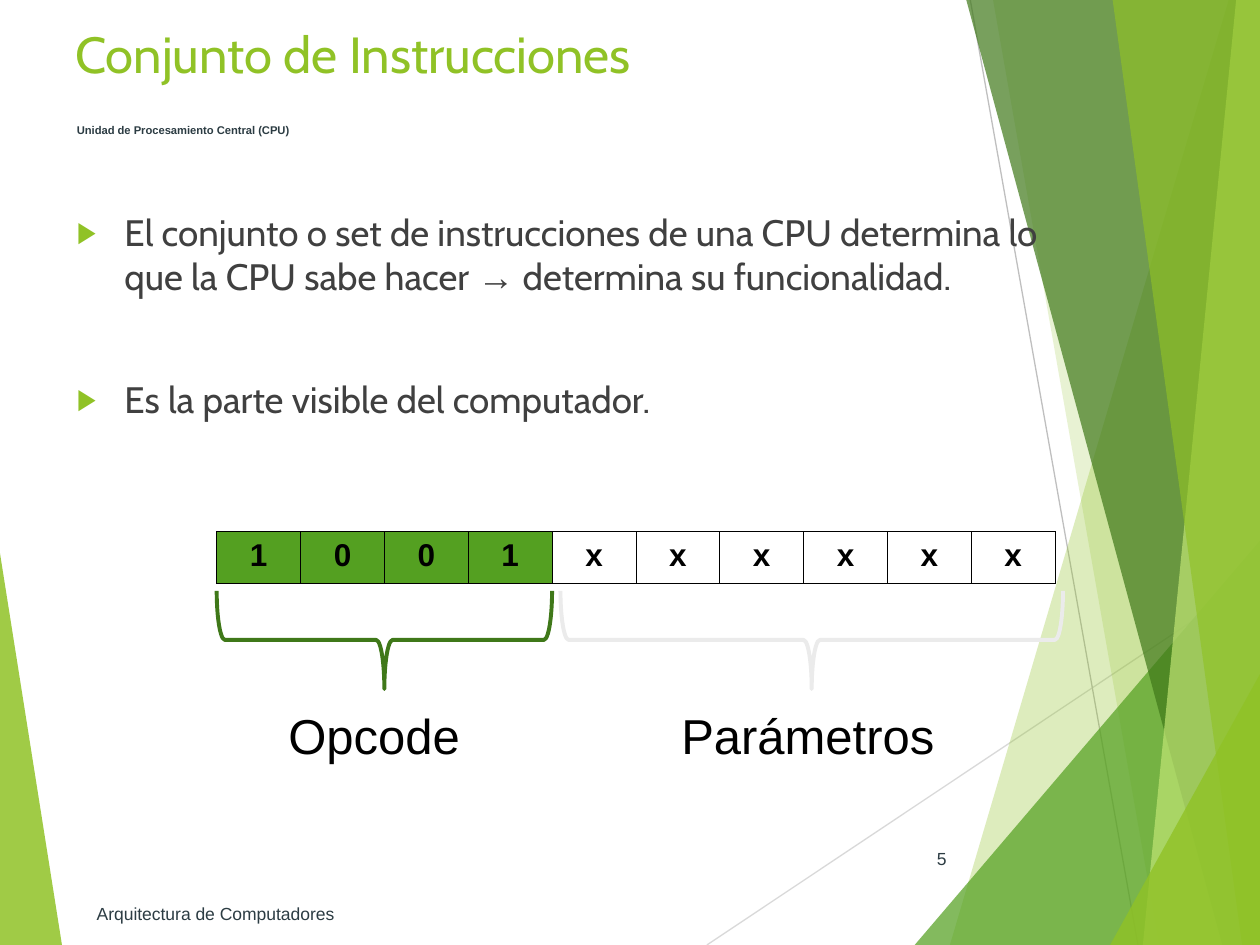
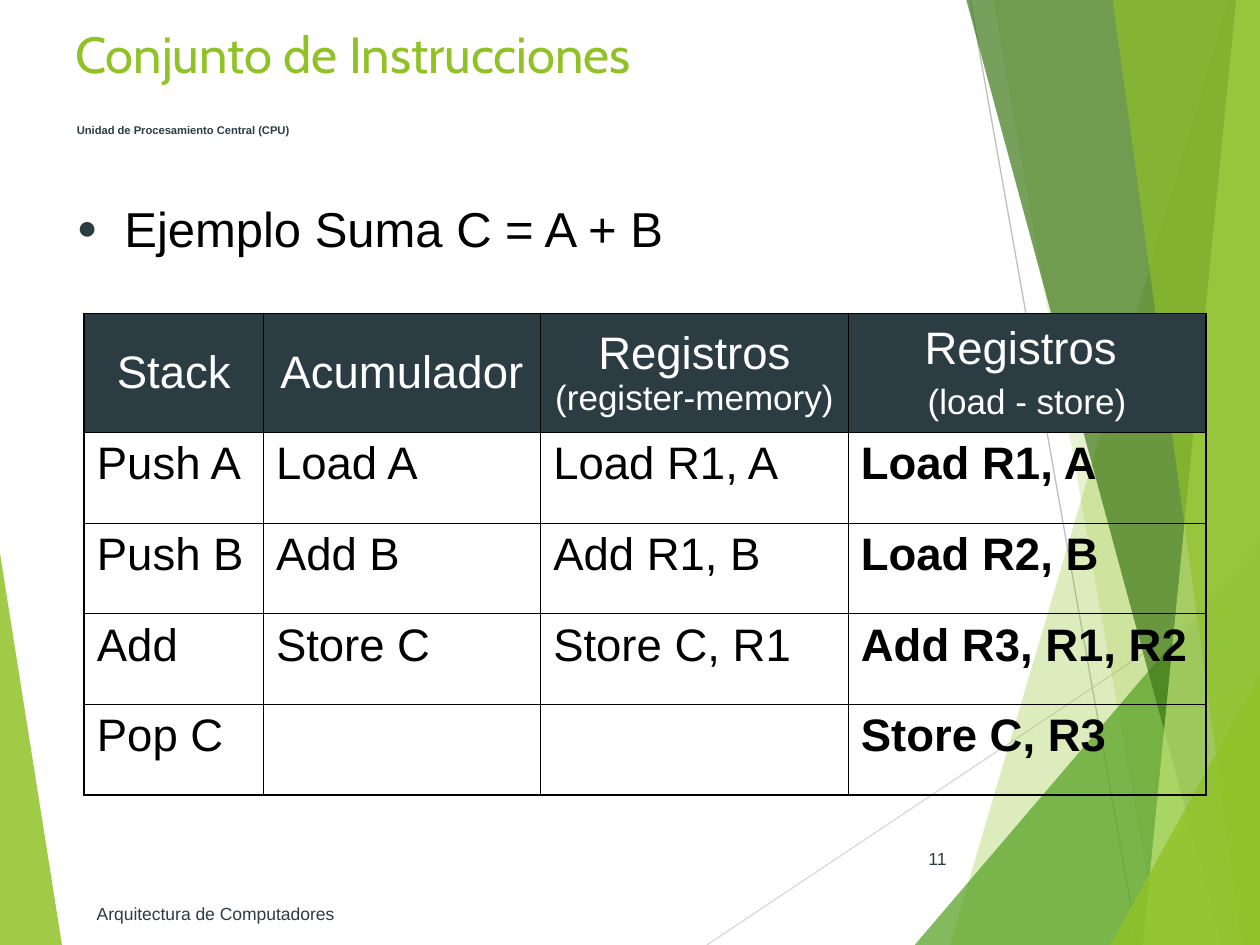
from dataclasses import dataclass
from typing import Optional

from lxml.etree import SubElement
from pptx import Presentation
from pptx.dml.color import RGBColor
from pptx.enum.shapes import MSO_CONNECTOR, MSO_SHAPE
from pptx.enum.text import MSO_ANCHOR as Anchor, PP_ALIGN as Align
from pptx.oxml.ns import qn
from pptx.util import Cm, Pt

LIME = RGBColor(0x90, 0xC2, 0x26)
PALE_LIME = RGBColor(0xC0, 0xE4, 0x74)
GREEN = RGBColor(0x54, 0xA0, 0x21)
DARK_GREEN = RGBColor(0x3F, 0x78, 0x19)
SLATE = RGBColor(0x2C, 0x3C, 0x43)
CHARCOAL = RGBColor(0x40, 0x40, 0x40)
BLACK = RGBColor(0, 0, 0)
WHITE = RGBColor(0xFF, 0xFF, 0xFF)
SMOKE = RGBColor(0xEB, 0xEB, 0xEB)
SILVER = RGBColor(0xD9, 0xD9, 0xD9)
GREY = RGBColor(0xBF, 0xBF, 0xBF)

WIDTH, HEIGHT = 25.4, 19.05
THIN, THICK = 0.45, 1.08
INDENT = 0.96


@dataclass(frozen=True)
class Box:
    left: float
    top: float
    width: float
    height: float

    def lengths(self) -> tuple:
        return Cm(self.left), Cm(self.top), Cm(self.width), Cm(self.height)


@dataclass(frozen=True)
class Facet:
    points: tuple
    color: RGBColor
    opacity: int


@dataclass(frozen=True)
class Ray:
    start: tuple
    end: tuple
    color: RGBColor


@dataclass(frozen=True)
class Bullet:
    char: str
    color: RGBColor
    percent: int


@dataclass(frozen=True)
class Style:
    size: float
    color: RGBColor = BLACK
    font: str = "Arial"
    bold: bool = False
    align: Align = Align.LEFT
    line_spacing: Optional[float] = None
    bullet: Optional[Bullet] = None


@dataclass(frozen=True)
class Run:
    text: str
    font: Optional[str] = None
    size: Optional[float] = None


def band(top_x: float, bottom_x: float) -> tuple:
    """Corners of a band that reaches from a slanted edge to the right side."""
    return (top_x, 0), (bottom_x, HEIGHT), (WIDTH, HEIGHT), (WIDTH, 0)


def corner(bottom_x: float, right_y: float) -> tuple:
    """Corners of a triangle in the bottom right of the slide."""
    return (bottom_x, HEIGHT), (WIDTH, right_y), (WIDTH, HEIGHT)


BACKDROP = (
    Facet(((0, 11.15), (1.25, HEIGHT), (0, HEIGHT)), LIME, 85),
    Ray((14.25, HEIGHT), (WIDTH, 11.61), SILVER),
    Ray((19.56, 0), (22.94, HEIGHT), GREY),
    Facet(band(24.77, 19.15), LIME, 30),
    Facet(band(20.02, 23.37), LIME, 20),
    Facet(corner(18.44, 10.9), GREEN, 72),
    Facet(band(19.48, 24.64), DARK_GREEN, 70),
    Facet(band(24.92, 23.04), PALE_LIME, 70),
    Facet(band(22.43, 25.04), LIME, 65),
    Facet(corner(22.38, 13.59), LIME, 80),
)

TITLE = Style(29, LIME, "Cabin")
SUBTITLE = Style(6.4, SLATE, bold=True, line_spacing=0.8)
FOOTER = Style(10, SLATE)
PAGE_NUMBER = Style(10, SLATE, align=Align.RIGHT)
POINT = Style(21, CHARCOAL, "Cabin", bullet=Bullet("▶", LIME, 80))
EXAMPLE = Style(28, line_spacing=0.8, bullet=Bullet("●", SLATE, 70))
BRACE_LABEL = Style(28, align=Align.CENTER)
BIT = Style(18, bold=True, align=Align.CENTER)
HEADING = Style(26, WHITE, align=Align.CENTER)
INSTRUCTION = Style(26)
KEY_INSTRUCTION = Style(26, bold=True)


def draw_facet(slide, facet: Facet) -> None:
    start, *others = [(Cm(x), Cm(y)) for x, y in facet.points]
    builder = slide.shapes.build_freeform(*start)
    builder.add_line_segments(others)
    shape = builder.convert_to_shape()
    shape.shadow.inherit = False
    shape.line.fill.background()
    shape.fill.solid()
    shape.fill.fore_color.rgb = facet.color
    color = shape.fill._xPr.find(f"{qn('a:solidFill')}/{qn('a:srgbClr')}")
    SubElement(color, qn("a:alpha"), val=str(facet.opacity * 1000))


def draw_ray(slide, ray: Ray) -> None:
    ends = [Cm(value) for value in ray.start + ray.end]
    connector = slide.shapes.add_connector(MSO_CONNECTOR.STRAIGHT, *ends)
    connector.line.color.rgb = ray.color
    connector.line.width = Pt(0.75)
    SubElement(connector._element.spPr, qn("a:effectLst"))


def add_bullet(paragraph, bullet: Bullet) -> None:
    properties = paragraph._p.get_or_add_pPr()
    properties.set("marL", str(Cm(INDENT)))
    properties.set("indent", str(-Cm(INDENT)))
    color = SubElement(properties, qn("a:buClr"))
    SubElement(color, qn("a:srgbClr"), val=str(bullet.color))
    SubElement(properties, qn("a:buSzPct"), val=str(bullet.percent * 1000))
    SubElement(properties, qn("a:buFont"), typeface="Arial")
    SubElement(properties, qn("a:buChar"), char=bullet.char)


def write(frame, paragraphs: tuple, style: Style, gap: float = 0) -> None:
    """Fill a text frame; each paragraph is a string or a tuple of runs."""
    for index, content in enumerate(paragraphs):
        paragraph = frame.add_paragraph() if index else frame.paragraphs[0]
        if style.bullet:
            add_bullet(paragraph, style.bullet)
        paragraph.alignment = style.align
        if style.line_spacing:
            paragraph.line_spacing = style.line_spacing
        if index:
            paragraph.space_before = Pt(gap)
        font = paragraph.font
        font.name, font.size, font.bold = style.font, Pt(style.size), style.bold
        font.color.rgb = style.color
        for part in (Run(content),) if isinstance(content, str) else content:
            run = paragraph.add_run()
            run.text = part.text
            if part.font:
                run.font.name = part.font
            if part.size:
                run.font.size = Pt(part.size)


def add_text(slide, box: Box, paragraphs: tuple, style: Style,
             anchor: Anchor = Anchor.TOP, gap: float = 0) -> None:
    frame = slide.shapes.add_textbox(*box.lengths()).text_frame
    frame.word_wrap = True
    frame.vertical_anchor = anchor
    write(frame, paragraphs, style, gap)


def add_brace(slide, box: Box, color: RGBColor) -> None:
    """Draw a brace that points down and fills the box once rotated."""
    left = box.left + (box.width - box.height) / 2
    top = box.top + (box.height - box.width) / 2
    upright = Box(left, top, box.height, box.width)
    shape = slide.shapes.add_shape(MSO_SHAPE.LEFT_BRACE, *upright.lengths())
    shape.rotation = 270
    shape.shadow.inherit = False
    shape.fill.background()
    shape.line.color.rgb = color
    shape.line.width = Pt(2.25)


def add_grid(slide, left: float, top: float, widths: list, heights: list):
    box = Box(left, top, sum(widths), sum(heights))
    table = slide.shapes.add_table(len(heights), len(widths), *box.lengths()).table
    table.first_row = table.horz_banding = False
    for column, width in zip(table.columns, widths):
        column.width = Cm(width)
    for row, height in zip(table.rows, heights):
        row.height = Cm(height)
    return table


def format_cell(cell, fill: Optional[RGBColor], left: float = THIN, right: float = THIN,
                top: float = THIN, bottom: float = THIN) -> None:
    """Set the border widths in points and the fill, None leaving it clear."""
    properties = cell._tc.get_or_add_tcPr()
    for side, width in zip("LRTB", (left, right, top, bottom)):
        line = SubElement(properties, qn(f"a:ln{side}"), w=str(Pt(width)))
        solid = SubElement(line, qn("a:solidFill"))
        SubElement(solid, qn("a:srgbClr"), val=str(BLACK))
    if fill is None:
        cell.fill.background()
    else:
        cell.fill.solid()
        cell.fill.fore_color.rgb = fill


def add_base_slide(presentation, number: int):
    """Add a slide with the backdrop, title, subtitle, number and footer."""
    slide = presentation.slides.add_slide(presentation.slide_layouts[6])
    for item in BACKDROP:
        if isinstance(item, Facet):
            draw_facet(slide, item)
        else:
            draw_ray(slide, item)
    add_text(slide, Box(1.27, 0.33, 18.82, 1.57), ("Conjunto de Instrucciones",), TITLE)
    add_text(slide, Box(1.3, 2.31, 20, 0.58), ("Unidad de Procesamiento Central (CPU)",),
             SUBTITLE, Anchor.BOTTOM)
    add_text(slide, Box(17.91, 16.79, 1.42, 1.02), (str(number),), PAGE_NUMBER, Anchor.MIDDLE)
    add_text(slide, Box(1.7, 17.91, 12.85, 1.02), ("Arquitectura de Computadores",),
             FOOTER, Anchor.MIDDLE)
    return slide


def build_instruction_format(presentation) -> None:
    slide = add_base_slide(presentation, 5)
    definition = (
        Run("El conjunto o set de instrucciones de una CPU determina lo que la CPU sabe hacer "),
        Run("→", font="Arial"),
        Run(" determina su funcionalidad."),
    )
    add_text(slide, Box(1.3, 4.11, 20.6, 5.6),
             (definition, "Es la parte visible del computador."), POINT, gap=45)

    opcode, parameters = "1001", "xxxxxx"
    bits = opcode + parameters
    table = add_grid(slide, 4.37, 10.72, [1.69] * len(bits), [1.04])
    for index, bit in enumerate(bits):
        cell = table.cell(0, index)
        format_cell(cell, GREEN if index < len(opcode) else WHITE)
        write(cell.text_frame, (bit,), BIT)

    add_brace(slide, Box(4.37, 11.91, 6.76, 1.98), DARK_GREEN)
    add_brace(slide, Box(11.3, 11.91, 10.13, 1.98), SMOKE)
    add_text(slide, Box(4.57, 14.1, 5.94, 1.45), ("Opcode",), BRACE_LABEL)
    add_text(slide, Box(11.13, 14.1, 10.31, 1.45), ("Parámetros",), BRACE_LABEL)


def build_sum_example(presentation) -> None:
    slide = add_base_slide(presentation, 11)
    headings = (
        ("Stack",),
        ("Acumulador",),
        ((Run("Registros "), Run("(register-memory)", size=20)),),
        ("Registros ", (Run("(load - store)", size=20),)),
    )
    programs = (
        ("Push A", "Load A", "Load R1, A", "Load R1, A"),
        ("Push B", "Add B", "Add R1, B", "Load R2, B"),
        ("Add", "Store C", "Store C, R1", "Add R3, R1, R2"),
        ("Pop C", "", "", "Store C, R3"),
    )
    last_row, last_column = len(programs), len(headings) - 1
    table = add_grid(slide, 1.7, 6.32, [3.61, 5.59, 6.2, 7.21], [2.39] + [1.83] * last_row)
    for column, heading in enumerate(headings):
        for row in range(last_row + 1):
            cell = table.cell(row, column)
            format_cell(cell, None if row else SLATE,
                        left=THIN if column else THICK,
                        right=THICK if column == last_column else THIN,
                        top=THIN if row else THICK,
                        bottom=THICK if row == last_row else THIN)
            if row == 0:
                cell.vertical_anchor = Anchor.MIDDLE
                write(cell.text_frame, heading, HEADING, gap=5)
            elif programs[row - 1][column]:
                style = KEY_INSTRUCTION if column == last_column else INSTRUCTION
                write(cell.text_frame, (programs[row - 1][column],), style)
    add_text(slide, Box(1.3, 4.11, 20.6, 1.24), ("Ejemplo Suma C = A + B",), EXAMPLE)


def main() -> None:
    presentation = Presentation()
    presentation.slide_width, presentation.slide_height = Cm(WIDTH), Cm(HEIGHT)
    build_instruction_format(presentation)
    build_sum_example(presentation)
    presentation.save("out.pptx")


if __name__ == "__main__":
    main()
